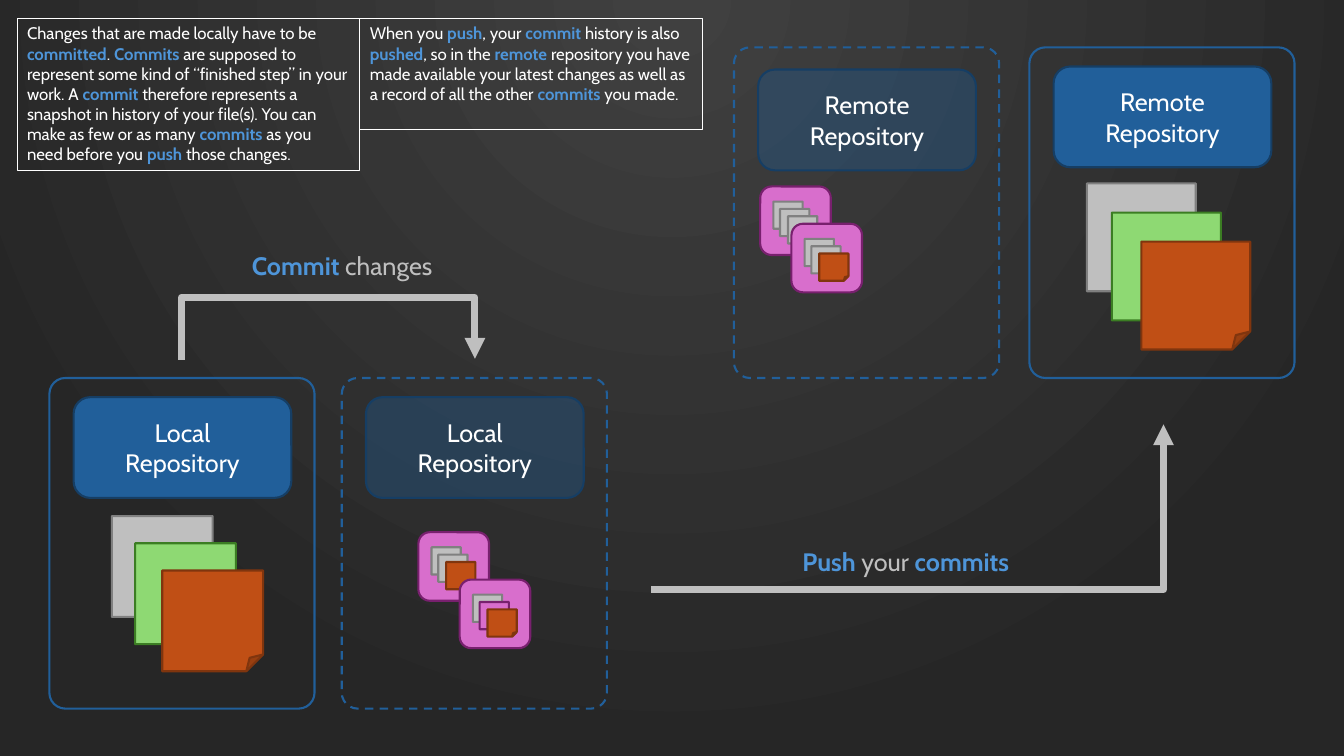
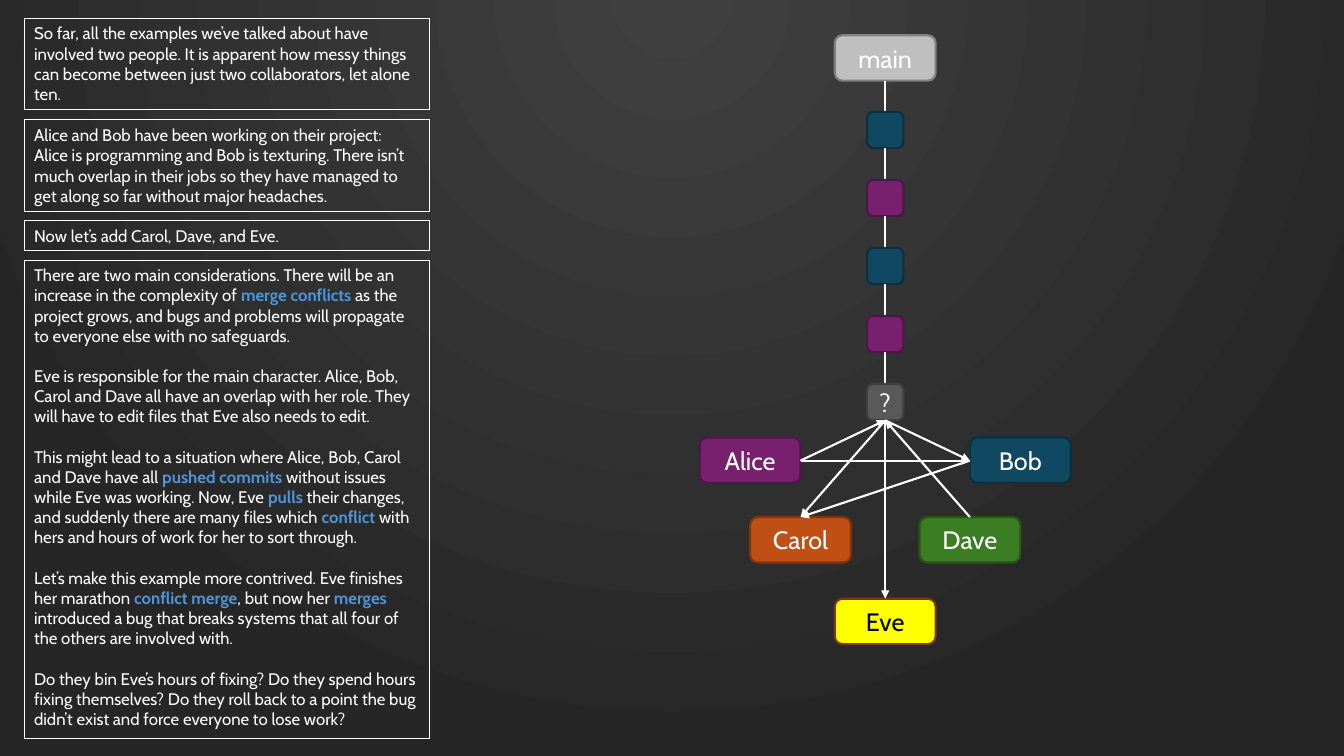
from pptx import Presentation
from pptx.dml.color import RGBColor
from pptx.enum.dml import MSO_LINE
from pptx.enum.shapes import MSO_CONNECTOR as CONN, MSO_SHAPE as SHAPE
from pptx.enum.text import MSO_ANCHOR as ANCHOR, PP_ALIGN as ALIGN
from pptx.oxml import parse_xml
from pptx.oxml.ns import nsdecls, qn
from pptx.oxml.xmlchemy import OxmlElement
from pptx.util import Inches, Pt

FONT = "Cabin"
C = {
    "bg_light": "404040", "bg_dark": "262626", "white": "FFFFFF", "black": "000000",
    "key": "4E95D9", "blue": "215F9A", "blue_edge": "163E64",
    "grey": "BFBFBF", "grey_edge": "808080", "dark": "595959", "dark_edge": "404040",
    "green": "8ED973", "forest": "3B7D23", "forest_edge": "275417",
    "orange": "C04F15", "orange_edge": "80350E", "pink": "D86ECC",
    "purple": "78206E", "purple_edge": "501649",
    "teal": "104862", "teal_edge": "0B3041", "yellow": "FFFF00",
}
# Fill and edge of each kind of item
GREY, GREEN = ("grey", "grey_edge"), ("green", "forest")
ORANGE, PINK = ("orange", "orange_edge"), ("pink", "purple")
PURPLE, TEAL = ("purple", "purple_edge"), ("teal", "teal_edge")
FOREST, DARK = ("forest", "forest_edge"), ("dark", "dark_edge")
BLUE, YELLOW = ("blue", "blue_edge"), ("yellow", "orange_edge")

# Place of each sheet in a stack, as shares of the sheet's size
STACK = [(0, 0), (0.23, 0.27), (0.5, 0.54)]


def rgb(name):
    return RGBColor.from_string(C[name])


def write(tf, paras, size=12, color="white", align=ALIGN.LEFT, gap=0):
    """Fill a frame with paragraphs: *word* is a key word, \\v a line break."""
    tf.word_wrap = True
    for i, para in enumerate(paras):
        p = tf.add_paragraph() if i else tf.paragraphs[0]
        p.alignment = align
        if i and gap:
            p.space_before = Pt(gap)
        for j, part in enumerate(para.split("*")):
            for k, line in enumerate(part.split("\v")):
                if k:
                    p.add_line_break()
                if not line:
                    continue
                r = p.add_run()
                r.text = line
                r.font.name, r.font.size, r.font.bold = FONT, Pt(size), j % 2 == 1
                r.font.color.rgb = rgb("key" if j % 2 else color)


class Deck:
    def __init__(self):
        self.prs = Presentation()
        self.prs.slide_width, self.prs.slide_height = Inches(13.33), Inches(7.5)
        self.s = None
        self.set_background()

    def set_background(self):
        c_sld = self.prs.slide_master._element.cSld
        if c_sld.bg is not None:
            c_sld.remove(c_sld.bg)
        c_sld.insert(0, parse_xml(
            f'<p:bg {nsdecls("p", "a")}><p:bgPr><a:gradFill rotWithShape="1"><a:gsLst>'
            f'<a:gs pos="0"><a:srgbClr val="{C["bg_light"]}"/></a:gs>'
            f'<a:gs pos="100000"><a:srgbClr val="{C["bg_dark"]}"/></a:gs></a:gsLst>'
            '<a:path path="circle"><a:fillToRect l="50000" t="-80000" r="50000" b="180000"/>'
            '</a:path></a:gradFill><a:effectLst/></p:bgPr></p:bg>'))

    def new_slide(self):
        self.s = self.prs.slides.add_slide(self.prs.slide_layouts[6])

    def shape(self, kind, x, y, w, h, fill, edge, alpha=None):
        sp = self.s.shapes.add_shape(kind, Inches(x), Inches(y), Inches(w), Inches(h))
        sp.shadow.inherit = False
        if fill:
            sp.fill.solid()
            sp.fill.fore_color.rgb = rgb(fill)
        else:
            sp.fill.background()
        if alpha:
            node = OxmlElement("a:alpha")
            node.set("val", str(alpha * 1000))
            sp._element.spPr.find(".//" + qn("a:srgbClr")).append(node)
        sp.line.color.rgb, sp.line.width = rgb(edge), Pt(1.5)
        return sp

    def tag(self, x, y, w, h, colors, text="", color="white", alpha=None):
        sp = self.shape(SHAPE.ROUNDED_RECTANGLE, x, y, w, h, *colors, alpha=alpha)
        if text:
            tf = sp.text_frame
            tf.vertical_anchor = ANCHOR.MIDDLE
            write(tf, [text], size=18, color=color, align=ALIGN.CENTER)

    def repository(self, x, y, name, head_dy=0.19, history=False):
        frame = self.shape(SHAPE.ROUNDED_RECTANGLE, x, y, 2.63, 3.28, None, "blue")
        frame.adjustments[0] = 0.06
        if history:
            frame.line.dash_style = MSO_LINE.DASH
        self.tag(x + 0.24, y + head_dy, 2.16, 1, BLUE, f"{name}\vRepository",
                 alpha=36 if history else None)

    def sheets(self, x, y, w, h, colors):
        for (dx, dy), pair in zip(STACK, colors):
            self.shape(SHAPE.FOLDED_CORNER, x + dx * w, y + dy * h, w, h, *pair)

    def commit(self, x, y, colors):
        self.tag(x, y, 0.7, 0.68, PINK)
        self.sheets(x + 0.13, y + 0.15, 0.29, 0.27, colors)

    def text(self, x, y, w, h, *paras, framed=False, **fmt):
        tb = self.s.shapes.add_textbox(Inches(x), Inches(y), Inches(w), Inches(h))
        if framed:
            tb.line.color.rgb, tb.line.width = rgb("white"), Pt(0.75)
        write(tb.text_frame, paras, **fmt)

    def line(self, start, end, color="white", width=1.5, arrow=True, kind=CONN.STRAIGHT):
        cn = self.s.shapes.add_connector(kind, *map(Inches, start + end))
        cn.line.color.rgb, cn.line.width = rgb(color), Pt(width)
        if arrow:
            tail = OxmlElement("a:tailEnd")
            tail.set("type", "triangle")
            cn.line._get_or_add_ln().append(tail)
        cn._element.spPr.append(OxmlElement("a:effectLst"))
        return cn

    def elbow(self, start, end, preset, turn=0, bend=None):
        cn = self.line(start, end, color="grey", width=5, kind=CONN.ELBOW)
        sp_pr = cn._element.spPr
        geom = sp_pr.find(qn("a:prstGeom"))
        geom.set("prst", preset)
        if turn:
            sp_pr.find(qn("a:xfrm")).set("rot", str(turn * 60000))
        if bend:
            for old in list(geom):
                geom.remove(old)
            geom.append(parse_xml(f'<a:avLst {nsdecls("a")}><a:gd name="adj1" '
                                  f'fmla="val {bend * 100000}"/></a:avLst>'))


def commit_and_push(d):
    d.new_slide()

    # Repositories: working files and commit history
    d.repository(0.49, 3.75, "Local")
    d.repository(3.39, 3.75, "Local", history=True)
    d.repository(7.28, 0.47, "Remote", head_dy=0.22, history=True)
    d.repository(10.21, 0.47, "Remote")

    # Files and commits
    files = [GREY, GREEN, ORANGE]
    d.sheets(1.11, 5.12, 1, 1, files)
    d.sheets(10.78, 1.82, 1.08, 1.07, files)
    for x, y, colors in [
        (4.15, 5.28, [GREY, GREY, ORANGE]),
        (4.56, 5.75, [GREY, PINK, ORANGE]),
        (7.54, 1.85, [GREY, GREY, GREY]),
        (7.85, 2.22, [GREY, GREY, ORANGE]),
    ]:
        d.commit(x, y, colors)

    # Arrows: the first is a thin elbow turned on its side, bent far outside its box
    d.elbow((3.26, 5.02), (3.25, 2.11), "bentConnector3", turn=90, bend=63)
    d.elbow((6.46, 5.85), (11.54, 4.21), "bentConnector2")
    d.text(2.4, 2.43, 2.11, 0.4, "*Commit *changes", size=18, color="grey")
    d.text(7.86, 5.37, 2.37, 0.4, "*Push *your *commits*", size=18, color="grey")

    # Explanations
    d.text(0.17, 0.18, 3.4, 1.51,
           "Changes that are made locally have to be *committed*. *Commits *are supposed to "
           "represent some kind of “finished step” in your work. A *commit *therefore "
           "represents a snapshot in history of your file(s). You can make as few or as many "
           "*commits *as you need before you *push *those changes.", framed=True)
    d.text(3.57, 0.18, 3.4, 1.11,
           "When you *push*, your *commit *history is also *pushed*, so in the *remote "
           "*repository you have made available your latest changes as well as a record of "
           "all the other *commits *you made.", framed=True)


def many_people(d):
    d.new_slide()
    mid, pitch = 8.78, (3.81 - 1.11) / 4

    # Story: top, height and paragraphs of each box
    for y, h, *paras in [
        (0.18, 0.91,
         "So far, all the examples we’ve talked about have involved two people. It is "
         "apparent how messy things can become between just two collaborators, let alone ten."),
        (1.19, 0.91,
         "Alice and Bob have been working on their project: Alice is programming and Bob is "
         "texturing. There isn’t much overlap in their jobs so they have managed to get "
         "along so far without major headaches."),
        (2.19, 0.3, "Now let’s add Carol, Dave, and Eve."),
        (2.58, 4.75,
         "There are two main considerations. There will be an increase in the complexity of "
         "*merge conflicts *as the project grows, and bugs and problems will propagate to "
         "everyone else with no safeguards.",
         "Eve is responsible for the main character. Alice, Bob, Carol and Dave all have an "
         "overlap with her role. They will have to edit files that Eve also needs to edit.",
         "This might lead to a situation where Alice, Bob, Carol and Dave have all *pushed "
         "commits *without issues while Eve was working. Now, Eve *pulls *their changes, and "
         "suddenly there are many files which *conflict *with hers and hours of work for her "
         "to sort through.",
         "Let’s make this example more contrived. Eve finishes her marathon *conflict "
         "merge*, but now her *merges *introduced a bug that breaks systems that all four of "
         "the others are involved with.",
         "Do they bin Eve’s hours of fixing? Do they spend hours fixing themselves? Do they "
         "roll back to a point the bug didn’t exist and force everyone to lose work?"),
    ]:
        d.text(0.24, y, 4.02, h, *paras, framed=True, gap=14.4)

    # Branch: each commit hangs from the one above
    d.tag(mid - 0.5, 0.35, 1, 0.45, GREY, "main")
    bottom = 0.8
    for i, colors in enumerate([TEAL, PURPLE, TEAL, PURPLE, DARK]):
        top = 1.11 + i * pitch
        d.line((mid, bottom), (mid, top), arrow=False)
        d.tag(mid - 0.18, top, 0.36, 0.36, colors, "?" if colors is DARK else "")
        bottom = top + 0.36

    # People
    for name, x, y, colors in [
        ("Alice", 6.94, 4.34, PURPLE), ("Bob", 9.62, 4.34, TEAL),
        ("Carol", 7.44, 5.13, ORANGE), ("Dave", 9.12, 5.13, FOREST),
        ("Eve", 8.28, 5.94, YELLOW),
    ]:
        d.tag(x, y, 1, 0.45, colors, name, color="black" if name == "Eve" else "white")

    # Who affects whom
    merge, eve = (mid, 4.17), (mid, 5.94)
    alice, bob, carol, dave = (7.94, 4.57), (9.62, 4.57), (7.94, 5.13), (9.62, 5.13)
    for start, end in [(alice, merge), (merge, bob), (dave, merge), (merge, carol),
                       (merge, eve), (bob, carol), (alice, bob)]:
        d.line(start, end)


def main():
    d = Deck()
    commit_and_push(d)
    many_people(d)
    d.prs.save("out.pptx")


if __name__ == "__main__":
    main()
